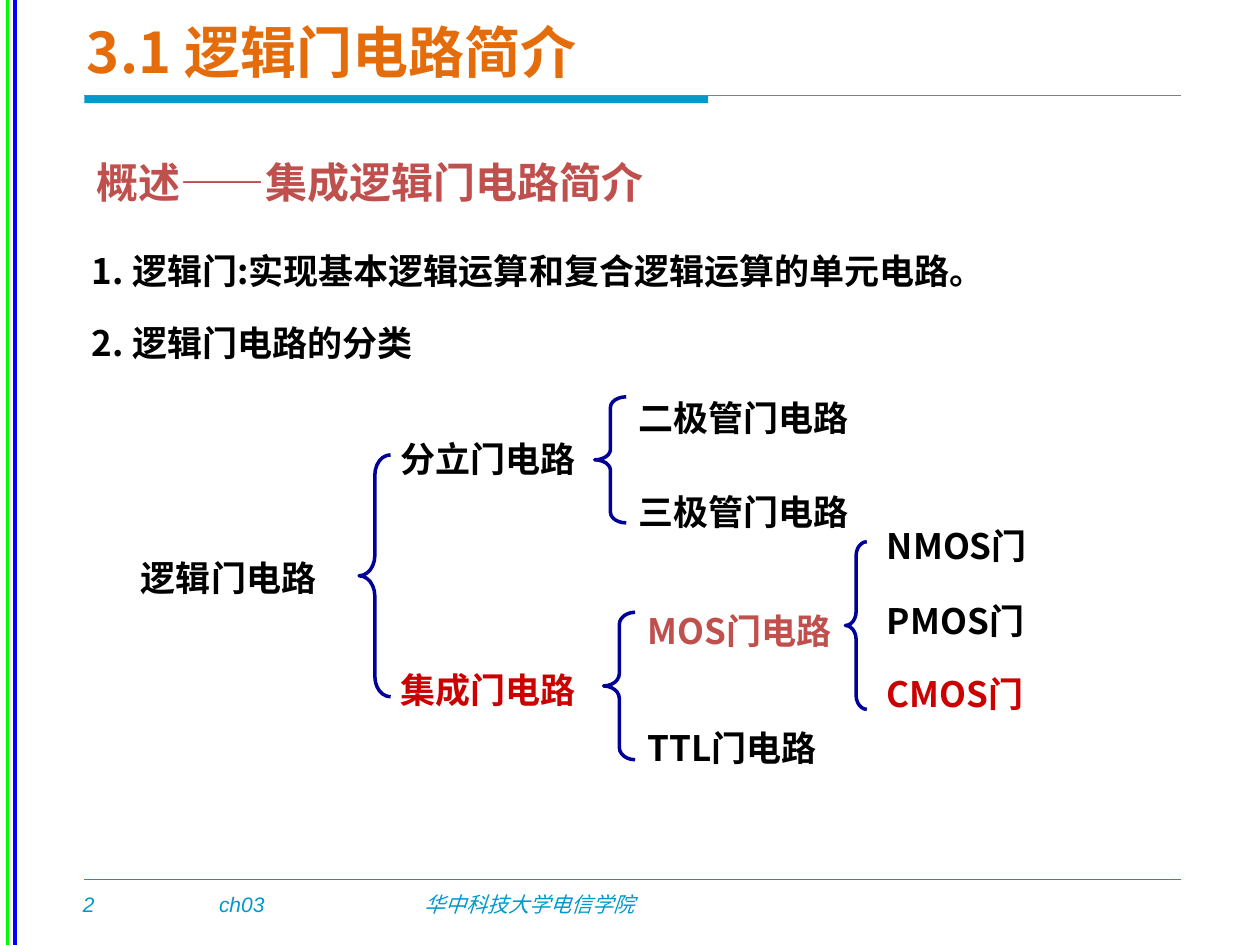
from dataclasses import dataclass

from lxml.etree import SubElement
from pptx import Presentation
from pptx.dml.color import RGBColor as Rgb
from pptx.enum.shapes import MSO_CONNECTOR as Link, MSO_SHAPE as Shape
from pptx.enum.text import MSO_ANCHOR as Anchor, MSO_AUTO_SIZE as Fit, PP_ALIGN as Align
from pptx.oxml.ns import qn
from pptx.util import Inches, Pt


@dataclass(frozen=True)
class Theme:
    head: str = "E46C0A"
    sub: str = "C0504D"
    ink: str = "000000"
    hot: str = "CC0000"
    brace: str = "000099"
    teal: str = "0099CC"
    grey: str = "808080"
    blue: str = "0000FF"
    green: str = "00FF00"
    cjk: str = "Noto Sans CJK SC"
    latin: str = "Arial"
    big: int = 32
    mid: int = 24
    text: int = 20
    small: int = 12


T = Theme()


def write(frame, text, size=T.text, color=T.ink, face=T.cjk, bold=True,
          italic=False, lead=None, gap=0, inset=(0.1, 0.05),
          anchor=Anchor.TOP, wrap=True, fit=Fit.SHAPE_TO_FIT_TEXT):
    frame.word_wrap, frame.auto_size = wrap, fit
    frame.vertical_anchor = anchor
    frame.margin_left = frame.margin_right = Inches(inset[0])
    frame.margin_top = frame.margin_bottom = Inches(inset[1])
    frame.text = text
    for i, para in enumerate(frame.paragraphs):
        para.alignment = Align.LEFT
        para.space_before = Pt(gap if i else 0)
        if lead:
            para.line_spacing = lead
        for run in para.runs:
            font = run.font
            font.name, font.size = face, Pt(size)
            font.bold, font.italic = bold, italic
            font.color.rgb = Rgb.from_string(color)
            SubElement(font._element, qn("a:ea"), typeface=T.cjk)


def place(shape, left, top, width, height):
    shape.left, shape.top = Inches(left), Inches(top)
    shape.width, shape.height = Inches(width), Inches(height)


def label(slide, text, left, top, width, height=0.5, **form):
    box = slide.shapes.add_textbox(
        Inches(left), Inches(top), Inches(width), Inches(height))
    write(box.text_frame, text, **form)


def rule(slide, x1, y1, x2, y2, color, weight):
    line = slide.shapes.add_connector(
        Link.STRAIGHT, Inches(x1), Inches(y1), Inches(x2), Inches(y2))
    line.line.color.rgb = Rgb.from_string(color)
    line.line.width = Pt(weight)
    SubElement(line._element.spPr, qn("a:effectLst"))


def brace(slide, left, top, width, height):
    mark = slide.shapes.add_shape(
        Shape.LEFT_BRACE, Inches(left), Inches(top), Inches(width), Inches(height))
    mark.shadow.inherit = False
    mark.fill.background()
    mark.line.color.rgb = Rgb.from_string(T.brace)
    mark.line.width = Pt(2)
    mark.adjustments[0] = height / 12 / width
    mark.adjustments[1] = 0.5


def edge(slide, left, top, height):
    rule(slide, left + 0.06, top, left + 0.06, top + height, T.blue, 2)
    rule(slide, left, top, left, top + height, T.green, 2)


def header(slide, left, top, width):
    title = slide.shapes.title
    place(title, left - 0.08, top, 7.21, 0.71)
    write(title.text_frame, "3.1 逻辑门电路简介", size=T.big, color=T.head,
          anchor=Anchor.MIDDLE, fit=Fit.NONE)
    base = top + 0.71
    rule(slide, left, base, left + width, base, T.grey, 0.75)
    bar = slide.shapes.add_shape(
        Shape.RECTANGLE, Inches(left), Inches(base), Inches(4.95), Inches(0.06))
    bar.shadow.inherit = False
    bar.fill.solid()
    bar.fill.fore_color.rgb = Rgb.from_string(T.teal)
    bar.line.fill.background()


def points(slide, left, top, width):
    label(slide, "概述——集成逻辑门电路简介", left, top, 4.44, 0.43, size=T.mid,
          color=T.sub, inset=(0.02, 0.01), wrap=False)
    body = slide.placeholders[1]
    place(body, left - 0.02, top + 0.75, width, 1.04)
    items = ("1. 逻辑门:实现基本逻辑运算和复合逻辑运算的单元电路。",
             "2. 逻辑门电路的分类")
    frame = body.text_frame
    frame.text = "\n".join(items)
    write(frame, "\n".join(items), gap=17, inset=(0, 0), fit=Fit.NONE)
    for para in frame.paragraphs:
        props = para._p.get_or_add_pPr()
        props.set("marL", "0")
        props.set("indent", "0")
        SubElement(props, qn("a:buNone"))


def tree(slide, left, top):
    nodes = (
        ("逻辑门电路", 0, 1.27, 1.69, T.ink),
        ("分立门电路", 2.06, 0.33, 2.17, T.ink),
        ("集成门电路", 2.06, 2.16, 2.23, T.hot),
        ("二极管门电路", 3.95, 0, 2.75, T.ink),
        ("三极管门电路", 3.95, 0.75, 2.67, T.ink),
        ("MOS门电路", 4.02, 1.69, 2.5, T.sub),
        ("TTL门电路", 4.02, 2.62, 2.33, T.ink),
        ("NMOS门", 5.92, 1.02, 1.92, T.ink),
        ("PMOS门", 5.92, 1.61, 1.83, T.ink),
        ("CMOS门", 5.92, 2.19, 1.92, T.hot),
    )
    for text, x, y, width, color in nodes:
        label(slide, text, left + x, top + y, width, color=color, lead=1.2)
    forks = ((1.83, 0.58, 0.25, 1.92), (3.7, 0.12, 0.25, 1),
             (3.77, 1.83, 0.25, 1.17), (5.69, 1.27, 0.17, 1.33))
    for x, y, width, height in forks:
        brace(slide, left + x, top + y, width, height)


def footer(slide, left, top, width):
    rule(slide, left, top, left + width, top, T.teal, 1)
    parts = (("2", -0.11, 0.41), ("ch03", 0.97, 0.8),
             ("华中科技大学电信学院", 2.6, 2.65))
    for text, x, span in parts:
        label(slide, text, left + x, top + 0.05, span, 0.3, size=T.small,
              color=T.teal, face=T.latin, bold=False, italic=True)


def main():
    deck = Presentation()
    deck.slide_width, deck.slide_height = Inches(10), Inches(7.5)
    slide = deck.slides.add_slide(deck.slide_layouts[1])
    edge(slide, 0.06, 0, 7.5)
    header(slide, 0.67, 0.05, 8.7)
    points(slide, 0.75, 1.23, 8.9)
    tree(slide, 1.02, 3.03)
    footer(slide, 0.67, 6.98, 8.7)
    deck.save("out.pptx")


if __name__ == "__main__":
    main()
